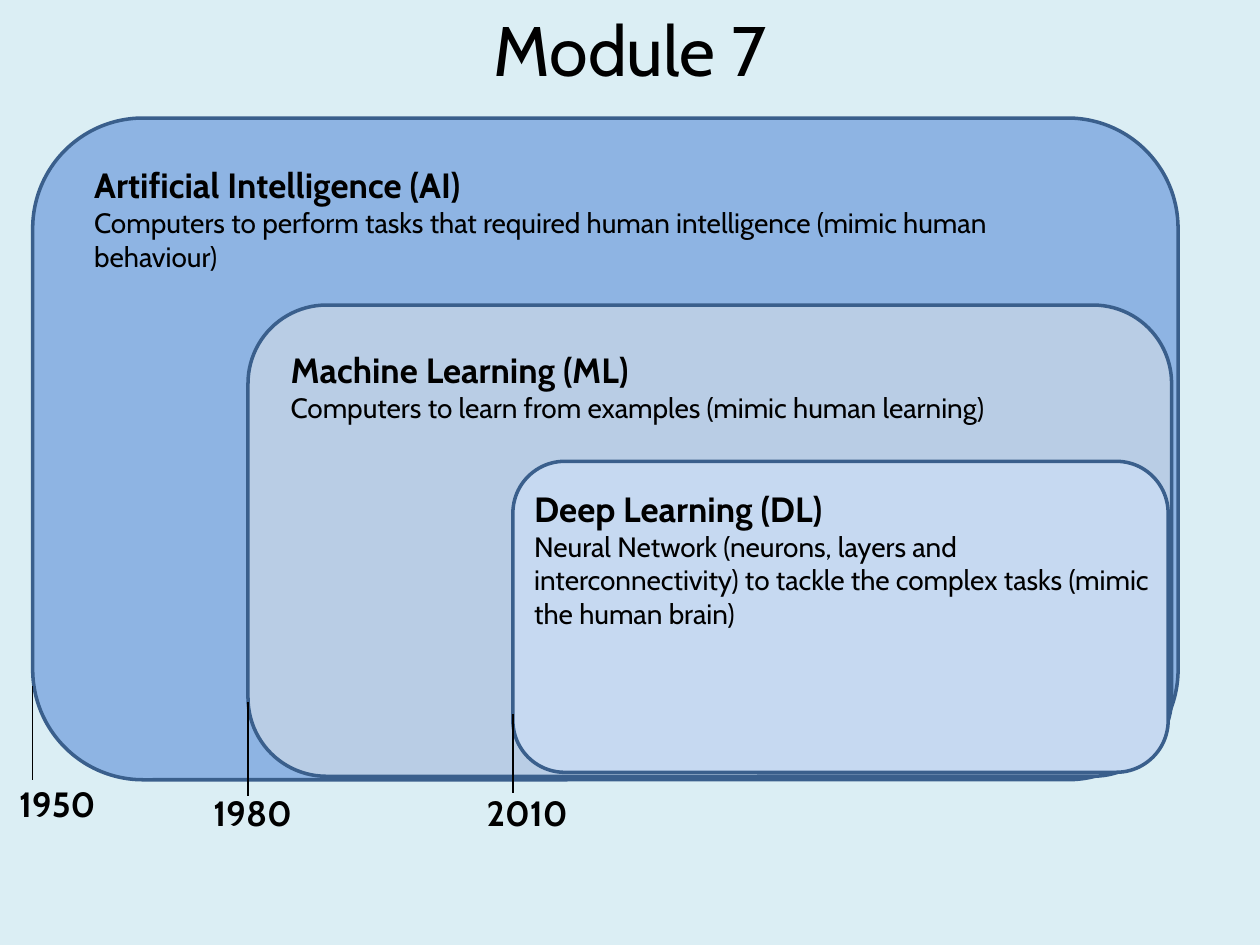
from lxml import etree
from pptx import Presentation
from pptx import util as u
from pptx.dml.color import RGBColor
from pptx.enum import shapes, text
from pptx.oxml.ns import qn

FONT = "Cabin"
BLACK = "000000"
OUTLINE = "3A5F8C"

# Panel box, fill, text box, heading, description, anchor (lengths in cm)
PANELS = [
    ((0.66, 2.38, 23.09, 13.34), "8EB4E3", (1.65, 3.18, 21.05, 2.36),
     "Artificial Intelligence (AI)",
     "Computers to perform tasks that required human intelligence "
     "(mimic human behaviour)", text.MSO_ANCHOR.TOP),
    ((5, 6.15, 18.62, 9.5), "B9CDE5", (5.61, 6.91, 16.56, 1.75),
     "Machine Learning (ML)",
     "Computers to learn from examples (mimic human learning)",
     text.MSO_ANCHOR.MIDDLE),
    ((10.34, 9.3, 13.21, 6.27), "C6D9F1", (10.52, 10.08, 13.03, 2.36),
     "Deep Learning (DL)",
     "Neural Network (neurons, layers and interconnectivity) to tackle "
     "the complex tasks (mimic the human brain)", text.MSO_ANCHOR.MIDDLE),
]

# Year, line x, line top, line bottom, label left, label top (cm)
YEARS = [
    ("1950", 0.66, 13.82, 15.72, -0.33, 15.88),
    ("1980", 5, 14.15, 16.05, 3.61, 16.05),
    ("2010", 10.34, 14.4, 15.98, 9.14, 16.05),
]


def color(value):
    return RGBColor.from_string(value)


def lengths(values):
    return [u.Cm(value) for value in values]


def add_text(slide, box, lines, anchor=text.MSO_ANCHOR.MIDDLE,
             align=text.PP_ALIGN.LEFT):
    """Add a text box; each line is (words, size, bold)."""
    frame = slide.shapes.add_textbox(*lengths(box)).text_frame
    frame.word_wrap = True
    frame.vertical_anchor = anchor
    for index, (words, size, bold) in enumerate(lines):
        paragraph = frame.add_paragraph() if index else frame.paragraphs[0]
        paragraph.text = words
        paragraph.alignment = align
        font = paragraph.font
        font.name, font.size, font.bold = FONT, u.Pt(size), bold
        font.color.rgb = color(BLACK)


def add_panel(slide, box, fill):
    shape = slide.shapes.add_shape(
        shapes.MSO_SHAPE.ROUNDED_RECTANGLE, *lengths(box))
    shape.shadow.inherit = False
    shape.fill.solid()
    shape.fill.fore_color.rgb = color(fill)
    shape.line.color.rgb = color(OUTLINE)
    shape.line.width = u.Pt(2)


def add_year_line(slide, x, top, bottom):
    connector = slide.shapes.add_connector(
        shapes.MSO_CONNECTOR.STRAIGHT, *lengths((x, top, x, bottom)))
    connector.line.color.rgb = color(BLACK)
    connector.line.width = u.Pt(0.75)
    etree.SubElement(connector._element.spPr, qn("a:effectLst"))


def main():
    presentation = Presentation()
    presentation.slide_width = u.Cm(25.4)
    presentation.slide_height = u.Cm(19.05)
    slide = presentation.slides.add_slide(presentation.slide_layouts[6])
    slide.background.fill.solid()
    slide.background.fill.fore_color.rgb = color("DBEEF4")

    # Nested panels
    for box, fill, text_box, heading, description, anchor in PANELS:
        add_panel(slide, box, fill)
        add_text(slide, text_box,
                 [(heading, 20, True), (description, 16, False)], anchor)

    # Starting years
    for year, x, top, bottom, label_left, label_top in YEARS:
        add_year_line(slide, x, top, bottom)
        add_text(slide, (label_left, label_top, 2.97, 0.64),
                 [(year, 20, True)], align=text.PP_ALIGN.CENTER)

    # Title
    add_text(slide, (1.27, -0.1, 22.86, 2.16), [("Module 7", 40, False)],
             align=text.PP_ALIGN.CENTER)

    presentation.save("out.pptx")


if __name__ == "__main__":
    main()
